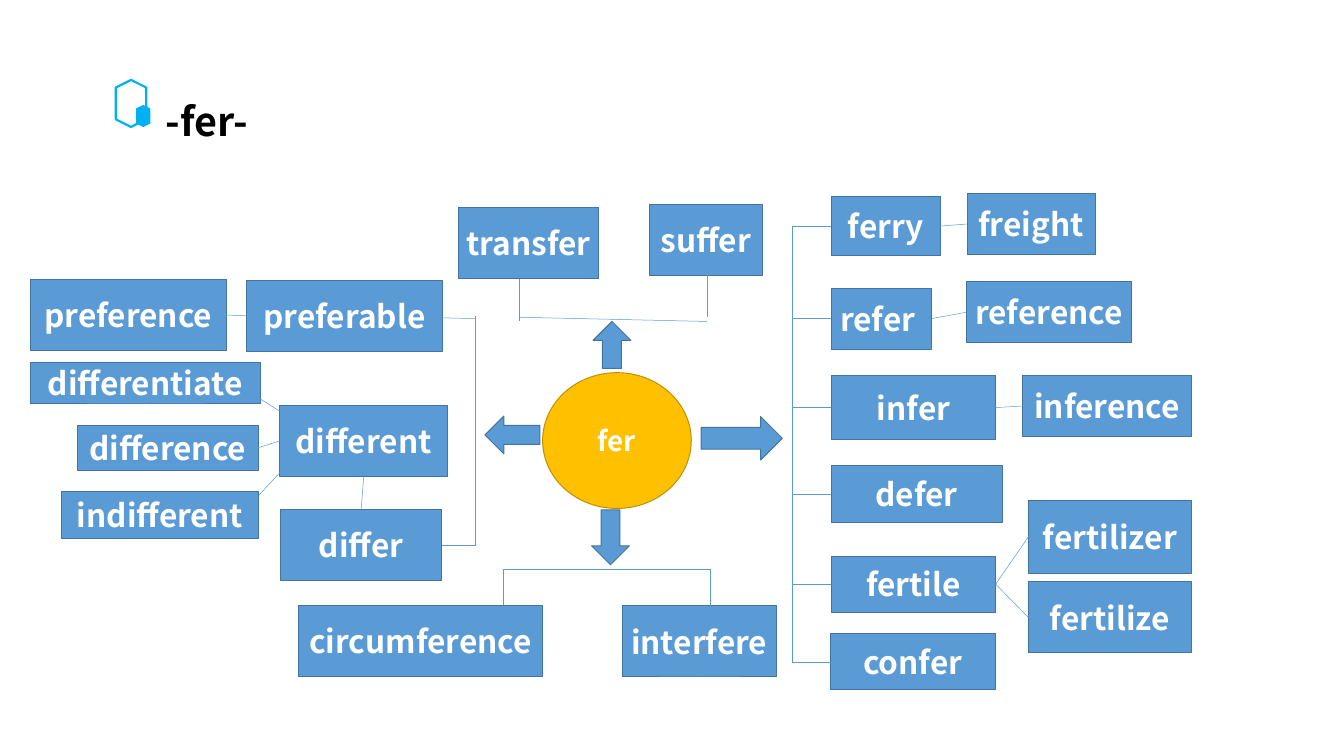
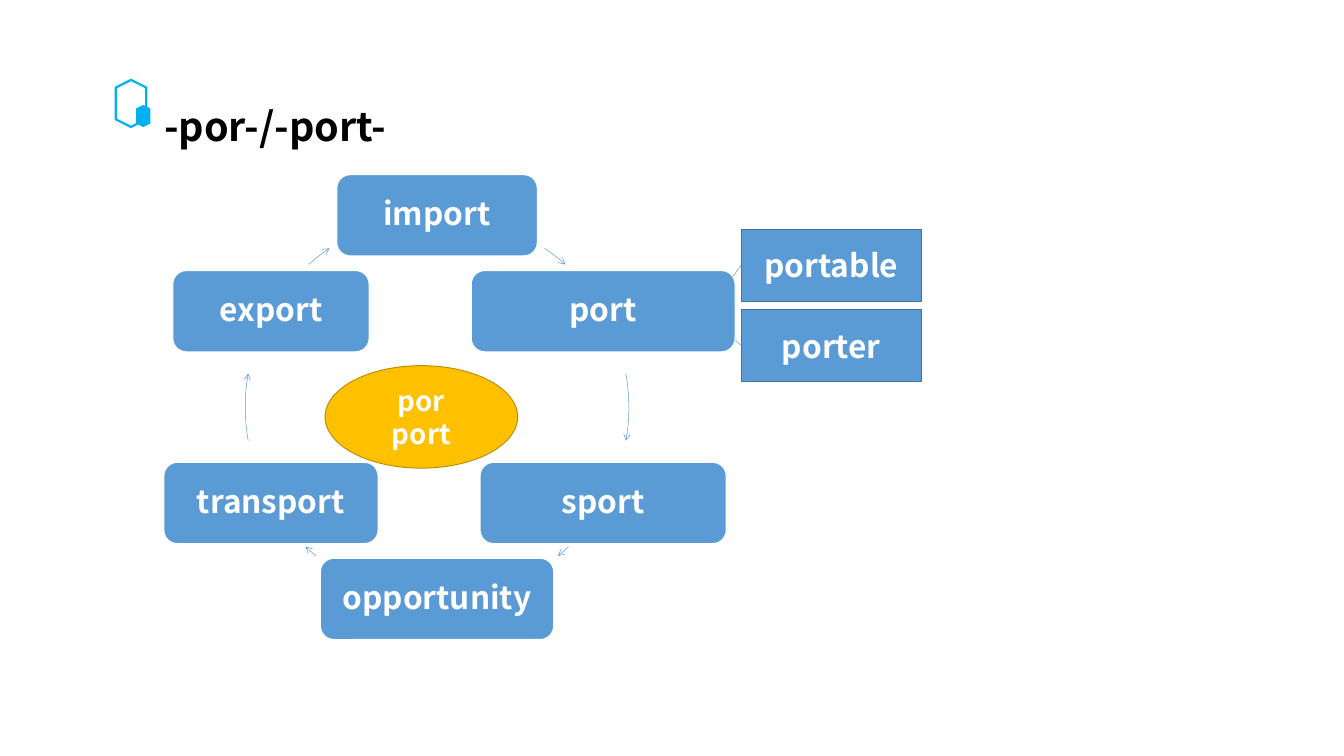
"""Build two word-root maps: -fer- and -por-/-port-."""
from math import cos, radians, sin

from lxml import etree
from pptx import Presentation
from pptx.dml.color import RGBColor
from pptx.enum.shapes import MSO_CONNECTOR, MSO_SHAPE
from pptx.enum.text import MSO_ANCHOR, MSO_AUTO_SIZE, PP_ALIGN
from pptx.oxml.ns import qn
from pptx.util import Cm, Pt

STRAIGHT = MSO_CONNECTOR.STRAIGHT
RECT, ROUNDED = MSO_SHAPE.RECTANGLE, MSO_SHAPE.ROUNDED_RECTANGLE
HEXAGON, ARC = MSO_SHAPE.HEXAGON, MSO_SHAPE.ARC
ROOT_DISC = MSO_SHAPE.FLOWCHART_CONNECTOR
UP, DOWN = MSO_SHAPE.UP_ARROW, MSO_SHAPE.DOWN_ARROW
LEFT, RIGHT = MSO_SHAPE.LEFT_ARROW, MSO_SHAPE.RIGHT_ARROW
ALIGN_LEFT, ALIGN_CENTER = PP_ALIGN.LEFT, PP_ALIGN.CENTER
TOP, MIDDLE = MSO_ANCHOR.TOP, MSO_ANCHOR.MIDDLE
GROW = MSO_AUTO_SIZE.SHAPE_TO_FIT_TEXT

FONT = "Noto Sans CJK SC"
BLACK = RGBColor(0x00, 0x00, 0x00)
WHITE = RGBColor(0xFF, 0xFF, 0xFF)
BLUE = RGBColor(0x5B, 0x9B, 0xD5)
BLUE_EDGE = RGBColor(0x43, 0x73, 0x9E)
GOLD = RGBColor(0xFF, 0xC0, 0x00)
GOLD_EDGE = RGBColor(0xBD, 0x8E, 0x00)
CYAN = RGBColor(0x00, 0xB0, 0xF0)

SITE_TOP, SITE_LEFT, SITE_BOTTOM, SITE_RIGHT = range(4)

FER_WORDS = {
    "circumference": (10.67, 21.62, 8.71, 2.54),
    "interfere": (22.23, 21.64, 5.49, 2.54),
    "transfer": (16.36, 7.42, 5.03, 2.54),
    "suffer": (23.19, 7.29, 4.04, 2.54),
    "preference": (1.09, 9.98, 6.99, 2.54),
    "preferable": (8.81, 10.01, 6.99, 2.54),
    "different": (9.98, 14.48, 6.02, 2.54),
    "differ": (10.03, 18.19, 5.74, 2.54),
    "differentiate": (1.09, 12.93, 8.2, 1.5),
    "difference": (2.77, 15.19, 6.45, 1.6),
    "indifferent": (2.21, 17.55, 7.01, 1.7),
    "ferry": (29.69, 7.01, 3.89, 2.13),
    "refer ": (29.69, 10.29, 3.58, 2.18),
    "infer": (29.69, 13.41, 5.87, 2.29),
    "defer": (29.69, 16.64, 6.1, 2.03),
    "fertile": (29.69, 19.86, 5.87, 2.01),
    "confer": (29.67, 22.63, 5.87, 2.01),
    "freight": (34.54, 6.91, 4.57, 2.18),
    "reference ": (34.52, 10.06, 5.89, 2.18),
    "inference": (36.53, 13.41, 6.02, 2.18),
    "fertilizer": (36.73, 17.88, 5.82, 2.59),
    "fertilize": (36.73, 20.78, 5.82, 2.54),
}
FER_LINKS = [
    ("preference", SITE_RIGHT, "preferable", SITE_LEFT),
    ("different", SITE_BOTTOM, "differ", SITE_TOP),
    ("difference", SITE_RIGHT, "different", SITE_LEFT),
    ("ferry", SITE_RIGHT, "freight", SITE_LEFT),
    ("refer ", SITE_RIGHT, "reference ", SITE_LEFT),
    ("infer", SITE_RIGHT, "inference", SITE_LEFT),
    ("fertile", SITE_RIGHT, "fertilizer", SITE_LEFT),
    ("fertile", SITE_RIGHT, "fertilize", SITE_LEFT),
]
FER_STEM_X = 28.3
FER_STEM_WORDS = ["ferry", "refer ", "infer", "defer", "fertile", "confer"]
FER_BRACKETS = [
    (17.96, 20.32, 25.35, 20.32), (17.96, 21.62, 17.96, 20.32),
    (25.35, 21.64, 25.35, 20.32),
    (18.54, 11.33, 25.25, 11.48), (18.54, 9.96, 18.54, 11.48),
    (25.25, 9.83, 25.25, 11.33),
    (15.8, 11.35, 16.99, 11.38), (15.77, 19.46, 16.99, 19.46),
    (16.99, 11.3, 16.99, 19.46),
    (9.22, 14.2, 10.06, 14.73), (9.25, 17.68, 10.08, 16.79),
]
FER_ARROWS = [
    (RIGHT, (25.04, 14.88, 2.9, 1.55)), (DOWN, (21.13, 18.21, 1.35, 1.96)),
    (LEFT, (17.32, 14.86, 1.96, 1.35)), (UP, (21.18, 11.48, 1.35, 1.68)),
]

PORT_WORDS = {
    "portable": (26.47, 8.18, 6.45, 2.59),
    "porter": (26.47, 11.07, 6.45, 2.54),
}
PORT_BRANCHES = [(25.1, 11.13, 26.47, 12.34), (25.27, 11.13, 26.47, 9.47)]
RING_CENTER, RING_RADIUS, RING_BOX_HEIGHT = (15.61, 14.54), 6.85, 2.9
RING = [
    ("import", 7.16, (304.1, 312)), ("port", 9.42, (349.9, 10.1)),
    ("sport", 8.79, (46.7, 50.9)), ("opportunity", 8.33, (129.1, 133.3)),
    ("transport", 7.65, (169.9, 190.1)), ("export", 7.01, (228, 235.9)),
]


def write(shape, text, *, size=32, color=WHITE, align=ALIGN_CENTER,
          anchor=MIDDLE, wrap=True, spacing=None):
    """Put bold text in a shape, one paragraph a line."""
    frame = shape.text_frame
    frame.text = text
    frame.word_wrap = wrap
    frame.vertical_anchor = anchor
    for paragraph in frame.paragraphs:
        paragraph.alignment = align
        paragraph.line_spacing = spacing
        font = paragraph.font
        font.name, font.size, font.bold = FONT, Pt(size), True
        font.color.rgb = color


def add_figure(slide, kind, box, *, fill=BLUE, edge=BLUE_EDGE, weight=1, turn=0):
    """Add a flat preset shape; None leaves its fill or edge out."""
    figure = slide.shapes.add_shape(kind, *map(Cm, box))
    figure.shadow.inherit = False
    figure.rotation = turn
    if fill is None:
        figure.fill.background()
    else:
        figure.fill.solid()
        figure.fill.fore_color.rgb = fill
    if edge is None:
        figure.line.fill.background()
    else:
        figure.line.color.rgb = edge
        figure.line.width = Pt(weight)
    return figure


def add_line(slide, ends):
    """Add a thin blue connector between two points."""
    line = slide.shapes.add_connector(STRAIGHT, *map(Cm, ends))
    line.line.color.rgb = BLUE
    line.line.width = Pt(0.5)
    etree.SubElement(line._element.spPr, qn("a:effectLst"))
    return line


def add_words(slide, words):
    """Add a labelled box for each word and return the boxes by word."""
    boxes = {}
    for word, box in words.items():
        boxes[word] = add_figure(slide, RECT, box)
        write(boxes[word], word)
    return boxes


def add_root(slide, text, box):
    """Add the golden disc that holds the root."""
    write(add_figure(slide, ROOT_DISC, box, fill=GOLD, edge=GOLD_EDGE),
          text, size=28)


def start_slide(deck, heading, box):
    """Add a slide with its heading and hexagon emblem."""
    slide = deck.slides.add_slide(deck.slide_layouts[5])
    title = slide.shapes.title
    title.left, title.top, title.width, title.height = map(Cm, box)
    write(title, heading, size=40, color=BLACK, align=ALIGN_LEFT,
          anchor=TOP, wrap=False)
    title.text_frame.auto_size = GROW
    add_figure(slide, HEXAGON, (3.84, 3.15, 1.68, 1.09), fill=None,
               edge=CYAN, weight=2.25, turn=90)
    add_figure(slide, HEXAGON, (4.72, 3.89, 0.79, 0.51), fill=CYAN,
               edge=None, turn=90)
    return slide


def build_fer(deck):
    """Build the map of words around fer."""
    slide = start_slide(deck, "-fer-", (5.66, 3.35, 3.68, 1.96))
    boxes = add_words(slide, FER_WORDS)
    add_root(slide, "fer", (19.38, 13.31, 5.31, 4.85))
    for kind, box in FER_ARROWS:
        add_figure(slide, kind, box)
    for ends in FER_BRACKETS:
        add_line(slide, ends)
    for source, source_site, target, target_site in FER_LINKS:
        link = add_line(slide, (0, 0, 1, 1))
        link.begin_connect(boxes[source], source_site)
        link.end_connect(boxes[target], target_site)
    levels = []
    for word in FER_STEM_WORDS:
        left, top, _, height = FER_WORDS[word]
        levels.append(top + height / 2)
        add_line(slide, (FER_STEM_X, levels[-1], left, levels[-1]))
    add_line(slide, (FER_STEM_X, levels[0], FER_STEM_X, levels[-1]))


def build_port(deck):
    """Build the ring of words around por and port."""
    slide = start_slide(deck, "-por-/-port-", (5.61, 3.53, 9.14, 1.96))
    add_root(slide, "por\nport", (11.61, 13.06, 6.88, 3.66))
    add_words(slide, PORT_WORDS)
    for ends in PORT_BRANCHES:
        add_line(slide, ends)
    center_x, center_y = RING_CENTER
    circle = (center_x - RING_RADIUS, center_y - RING_RADIUS,
              2 * RING_RADIUS, 2 * RING_RADIUS)
    for index, (word, width, sweep) in enumerate(RING):
        angle = radians(index * 360 / len(RING) - 90)
        left = center_x + RING_RADIUS * cos(angle) - width / 2
        top = center_y + RING_RADIUS * sin(angle) - RING_BOX_HEIGHT / 2
        box = add_figure(slide, ROUNDED, (left, top, width, RING_BOX_HEIGHT),
                         edge=WHITE)
        write(box, word, spacing=0.9)
        arc = add_figure(slide, ARC, circle, fill=None, edge=BLUE, weight=0.5)
        for position, degrees in enumerate(sweep):
            arc.adjustments[position] = degrees * 0.6
        etree.SubElement(arc.line._get_or_add_ln(), qn("a:tailEnd"), type="arrow")


def main():
    """Build and save the deck."""
    deck = Presentation()
    deck.slide_width, deck.slide_height = Cm(48), Cm(27)
    build_fer(deck)
    build_port(deck)
    deck.save("out.pptx")


if __name__ == "__main__":
    main()
